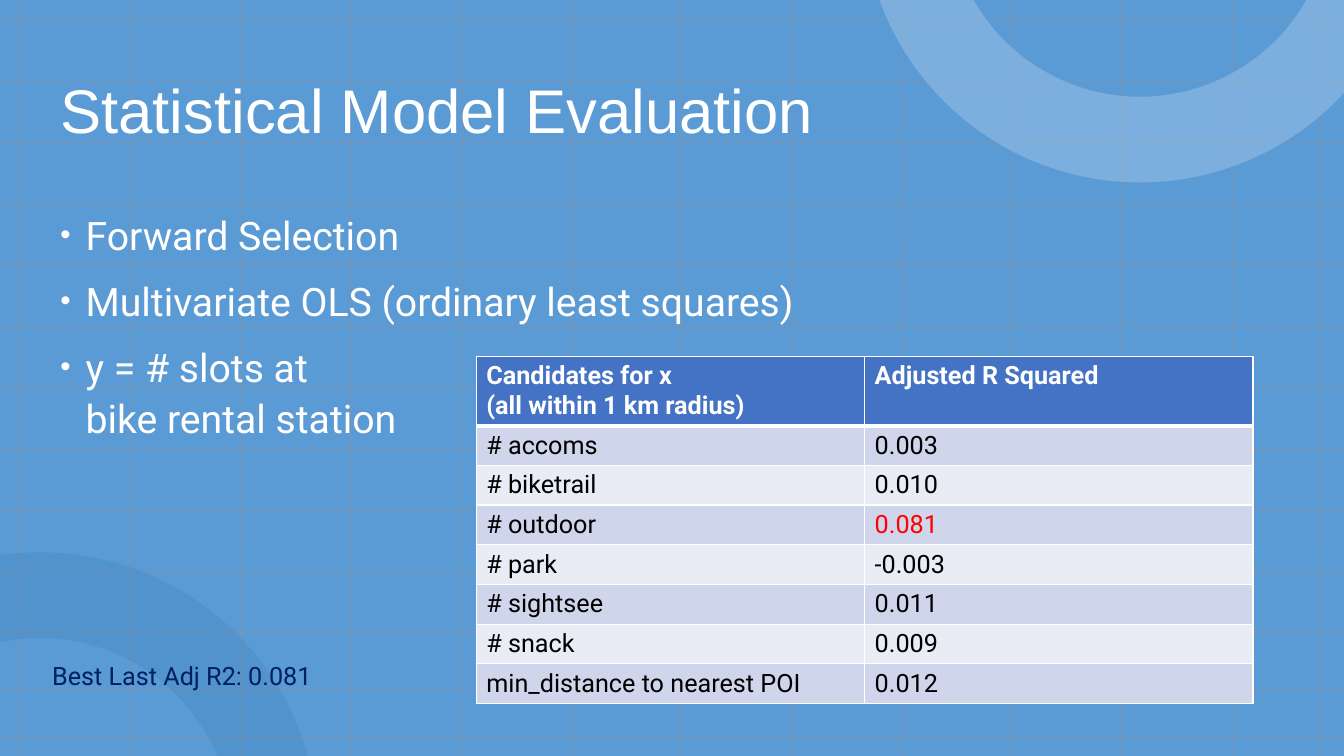
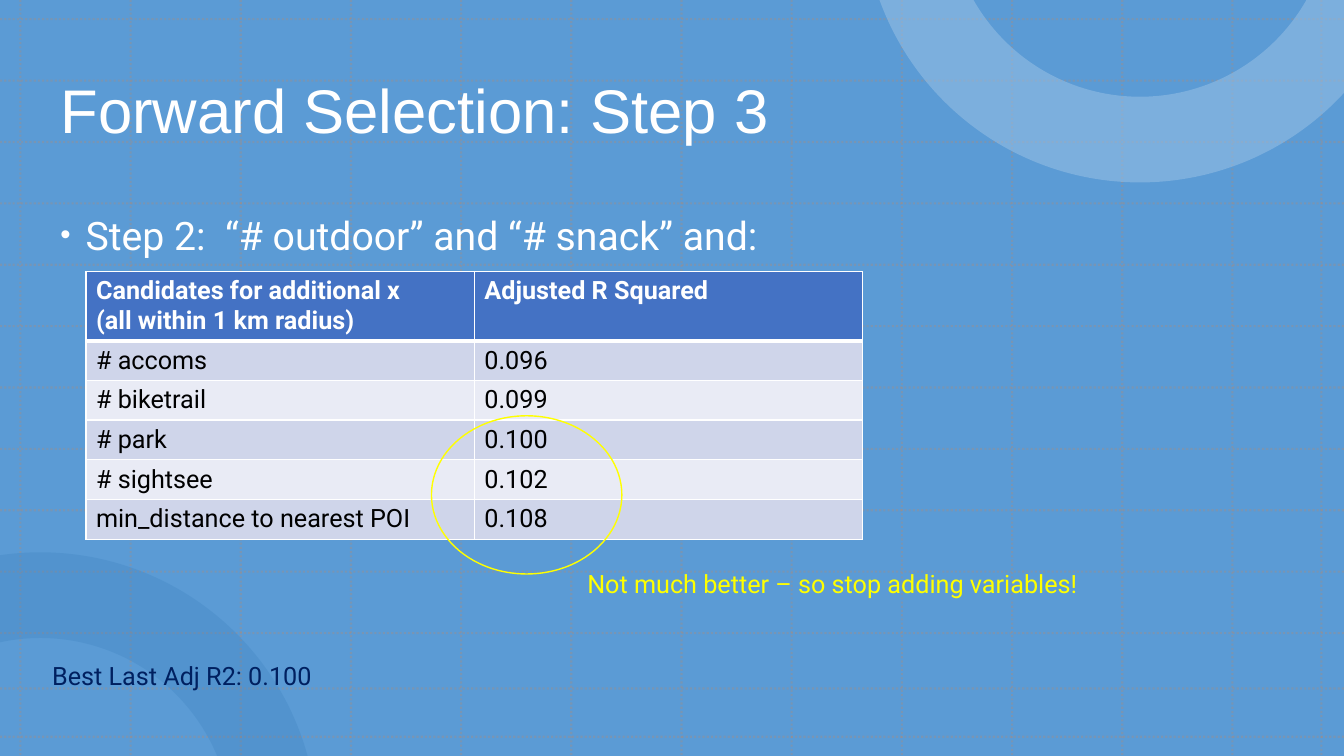
from math import cos, radians, sin, tan

from lxml import etree
from pptx import Presentation
from pptx.dml.color import RGBColor
from pptx.enum.dml import MSO_LINE
from pptx.enum.shapes import MSO_CONNECTOR, MSO_SHAPE
from pptx.enum.text import MSO_ANCHOR, MSO_AUTO_SIZE, PP_ALIGN
from pptx.oxml.ns import qn
from pptx.util import Pt

DOTS = MSO_LINE.ROUND_DOT
STRAIGHT = MSO_CONNECTOR.STRAIGHT
OVAL, RECT = MSO_SHAPE.OVAL, MSO_SHAPE.RECTANGLE
MIDDLE, TOP = MSO_ANCHOR.MIDDLE, MSO_ANCHOR.TOP
FIXED, GROW = MSO_AUTO_SIZE.NONE, MSO_AUTO_SIZE.SHAPE_TO_FIT_TEXT
LEFT = PP_ALIGN.LEFT

WIDE, HIGH = 960, 540
HEAD, BODY = "Arial", "Roboto"
WHITE, BLACK, NAVY = "FFFFFF", "000000", "002060"
RED, YELLOW = "FF0000", "FFFF00"
SKY, ORANGE = "5B9BD5", "ED7D31"
DEEP, PALE = "2E75B6", "9DC3E6"
BLUE, BANDS = "4472C4", ("CFD5EA", "E9EBF5")
TITLE_BOX = (36, 28.8, 844.6, 104.4)
LIST_BOX = (36, 144, 844.6, 342.7)
SCORE_BOX = (30.2, 468, 208, 28.8)
OUTER, INNER = 198, 136.8


def tint(color, code):
    """Set a colour from a hex string."""
    color.rgb = RGBColor.from_string(code)


def paint(fill, code):
    """Fill with one plain colour."""
    fill.solid()
    tint(fill.fore_color, code)


def fade(part, share):
    """Make the colours of a part opaque to a percentage."""
    for color in part.iter(qn("a:srgbClr")):
        etree.SubElement(color, qn("a:alpha"), val=str(share * 1000))


def place(shape, box):
    """Move a shape to its box."""
    shape.left, shape.top, shape.width, shape.height = map(Pt, box)


def write(para, text, size, code, font=BODY, bold=False):
    """Add text to a paragraph, one run for each line."""
    for num, line in enumerate(text.split("\n")):
        if num:
            para.add_line_break()
        run = para.add_run()
        run.text = line
        run.font.name, run.font.size, run.font.bold = font, Pt(size), bold
        tint(run.font.color, code)


def add_base(slide):
    """Cover the slide with the base colour."""
    base = slide.shapes.add_shape(RECT, 0, 0, Pt(WIDE), Pt(HIGH))
    base.shadow.inherit = False
    paint(base.fill, SKY)
    base.line.fill.background()
    return base


def add_rule(slide, start, end):
    """Draw one faint dotted grid line."""
    rule = slide.shapes.add_connector(STRAIGHT, *map(Pt, start + end))
    tint(rule.line.color, ORANGE)
    rule.line.width, rule.line.dash_style = Pt(1.5), DOTS
    fade(rule.element.spPr, 20)
    etree.SubElement(rule.element.spPr, qn("a:effectLst"))
    return rule


def arc(center, side, size, start, end):
    """Give the four Bezier points of an arc; angles count from its apex."""
    mid, base = center
    one, two = radians(start), radians(end)
    pull = 4 / 3 * tan((two - one) / 4)

    def dot(turn, bend):
        """Give a point on the arc, moved along the tangent."""
        return (Pt(mid + size * (sin(turn) + bend * cos(turn))),
                Pt(base + side * size * (cos(turn) - bend * sin(turn))))

    return [dot(one, 0), dot(one, pull), dot(two, -pull), dot(two, 0)]


def bend(nodes):
    """Turn three straight steps into one curve."""
    curve = etree.Element(qn("a:cubicBezTo"))
    nodes[0].addprevious(curve)
    for node in nodes:
        curve.append(node[0])
        node.getparent().remove(node)


def add_ring(slide, center, side, outer, inner, code, share, corner=()):
    """Draw the visible part of a ring, between two angles on each edge."""
    first = arc(center, side, OUTER, outer[0], 0)
    out = first[1:] + arc(center, side, OUTER, 0, outer[1])[1:]
    back = (arc(center, side, INNER, inner[1], 0)
            + arc(center, side, INNER, 0, inner[0])[1:])
    turn = [tuple(map(Pt, spot)) for spot in corner]
    build = slide.shapes.build_freeform(*first[0])
    build.add_line_segments(out + turn + back, close=True)
    ring = build.convert_to_shape()
    ring.shadow.inherit = False
    paint(ring.fill, code)
    ring.line.fill.background()
    fade(ring.element.spPr, share)
    steps = list(ring.element.iter(qn("a:lnTo")))
    for nodes in (steps[:3], steps[3:6], steps[-6:-3], steps[-3:]):
        bend(nodes)
    return ring


def set_back(layout, slide):
    """Draw base, grid and rings once and hand them to the layout."""
    cols = [14.6 + 78.7 * num for num in range(12)] + [943.9]
    rows = [13.7 + 43.85 * num for num in range(11)] + [491.8, 526.3]
    parts = [add_base(slide)]
    parts += [add_rule(slide, (x, 0), (x, HIGH)) for x in cols]
    parts += [add_rule(slide, (0, y), (WIDE, y)) for y in rows]
    parts.append(add_ring(slide, (28.8, 592.5), -1, (-8.36, 74.62),
                          (-12.15, 67.43), DEEP, 20))
    parts.append(add_ring(slide, (814.3, -67.7), 1, (-70, 47.38),
                          (-60.34, 60.34), PALE, 50, [(WIDE, 0)]))
    for num, part in enumerate(parts):
        layout.shapes.element.insert(2 + num, part.element)


def fill_title(slide, text, box=TITLE_BOX):
    """Write the slide title."""
    title = slide.shapes.title
    place(title, box)
    frame = title.text_frame
    frame.vertical_anchor, frame.auto_size = MIDDLE, FIXED
    para = frame.paragraphs[0]
    para.alignment, para.line_spacing = LEFT, 0.9
    write(para, text, 44, WHITE, HEAD)


def add_dot(para):
    """Give a paragraph a small white bullet with a hanging indent."""
    props = para._p.get_or_add_pPr()
    props.set("marL", str(Pt(18)))
    props.set("indent", str(Pt(-18)))
    color = etree.SubElement(props, qn("a:buClr"))
    etree.SubElement(color, qn("a:srgbClr"), val=WHITE)
    etree.SubElement(props, qn("a:buSzPct"), val="75000")
    etree.SubElement(props, qn("a:buFont"), typeface=HEAD)
    etree.SubElement(props, qn("a:buChar"), char="•")


def fill_list(slide, items, box=LIST_BOX):
    """Write the bullet list."""
    body = slide.placeholders[1]
    place(body, box)
    frame = body.text_frame
    frame.vertical_anchor, frame.auto_size = TOP, FIXED
    for num, item in enumerate(items):
        para = frame.add_paragraph() if num else frame.paragraphs[0]
        para.line_spacing, para.space_before = 1.1, Pt(10)
        add_dot(para)
        write(para, item, 28, WHITE)


def edge_cell(cell, row):
    """Draw white cell borders, thick under the header."""
    props = cell._tc.get_or_add_tcPr()
    sizes = {"L": 1, "R": 1, "T": 3 if row == 1 else 1, "B": 1 if row else 3}
    for num, (side, size) in enumerate(sizes.items()):
        line = etree.Element(qn("a:ln" + side), w=str(Pt(size)))
        fill = etree.SubElement(line, qn("a:solidFill"))
        etree.SubElement(fill, qn("a:srgbClr"), val=WHITE)
        props.insert(num, line)


def add_scores(slide, head, rows, spot, best=None):
    """Add the table of candidates; the best value is red."""
    data = [(head, "Adjusted R Squared")] + rows
    box = (*spot, 554.8, 50.4 + 28.8 * len(rows))
    frame = slide.shapes.add_table(len(data), 2, *map(Pt, box))
    for num, texts in enumerate(data):
        frame.table.rows[num].height = Pt(26 if num else 44.6)
        for col, text in enumerate(texts):
            cell = frame.table.cell(num, col)
            paint(cell.fill, BANDS[(num - 1) % 2] if num else BLUE)
            edge_cell(cell, num)
            code = RED if text == best else BLACK if num else WHITE
            write(cell.text_frame.paragraphs[0], text, 18, code, bold=not num)
    place(frame, box)


def add_note(slide, text, code, box):
    """Add a one-line note."""
    note = slide.shapes.add_textbox(*map(Pt, box))
    frame = note.text_frame
    frame.word_wrap, frame.auto_size = False, GROW
    write(frame.paragraphs[0], text, 18, code)


def add_mark(slide, box):
    """Circle the values that matter."""
    mark = slide.shapes.add_shape(OVAL, *map(Pt, box))
    mark.shadow.inherit = False
    mark.fill.background()
    tint(mark.line.color, YELLOW)
    mark.line.width = Pt(1)


def show_model(slide):
    """Build the slide on the model and its first candidates."""
    fill_title(slide, "Statistical Model Evaluation")
    fill_list(slide, ["Forward Selection",
                      "Multivariate OLS (ordinary least squares)",
                      "y = # slots at\nbike rental station"])
    rows = [("# accoms", "0.003"), ("# biketrail", "0.010"),
            ("# outdoor", "0.081"), ("# park", "-0.003"),
            ("# sightsee", "0.011"), ("# snack", "0.009"),
            ("min_distance to nearest POI", "0.012")]
    add_scores(slide, "Candidates for x\n(all within 1 km radius)", rows,
               (340.2, 254.6), best="0.081")
    add_note(slide, "Best Last Adj R2: 0.081", NAVY, SCORE_BOX)


def show_step(slide):
    """Build the slide on the last selection step."""
    fill_title(slide, "Forward Selection: Step 3")
    fill_list(slide, ["Step 2:  “# outdoor” and “# snack” and:"])
    rows = [("# accoms", "0.096"), ("# biketrail", "0.099"),
            ("# park", "0.100"), ("# sightsee", "0.102"),
            ("min_distance to nearest POI", "0.108")]
    add_scores(slide, "Candidates for additional x\n(all within 1 km radius)",
               rows, (61.4, 193.9))
    add_note(slide, "Best Last Adj R2: 0.100", NAVY, SCORE_BOX)
    add_mark(slide, (308.2, 297, 136, 113))
    add_note(slide, "Not much better – so stop adding variables!", YELLOW,
             (412.4, 402.5, 375.8, 28.8))


def main():
    """Build and save the deck."""
    deck = Presentation()
    deck.slide_width, deck.slide_height = Pt(WIDE), Pt(HIGH)
    layout = deck.slide_layouts[1]
    model, step = [deck.slides.add_slide(layout) for _ in range(2)]
    set_back(layout, model)
    show_model(model)
    show_step(step)
    deck.save("out.pptx")


main()
